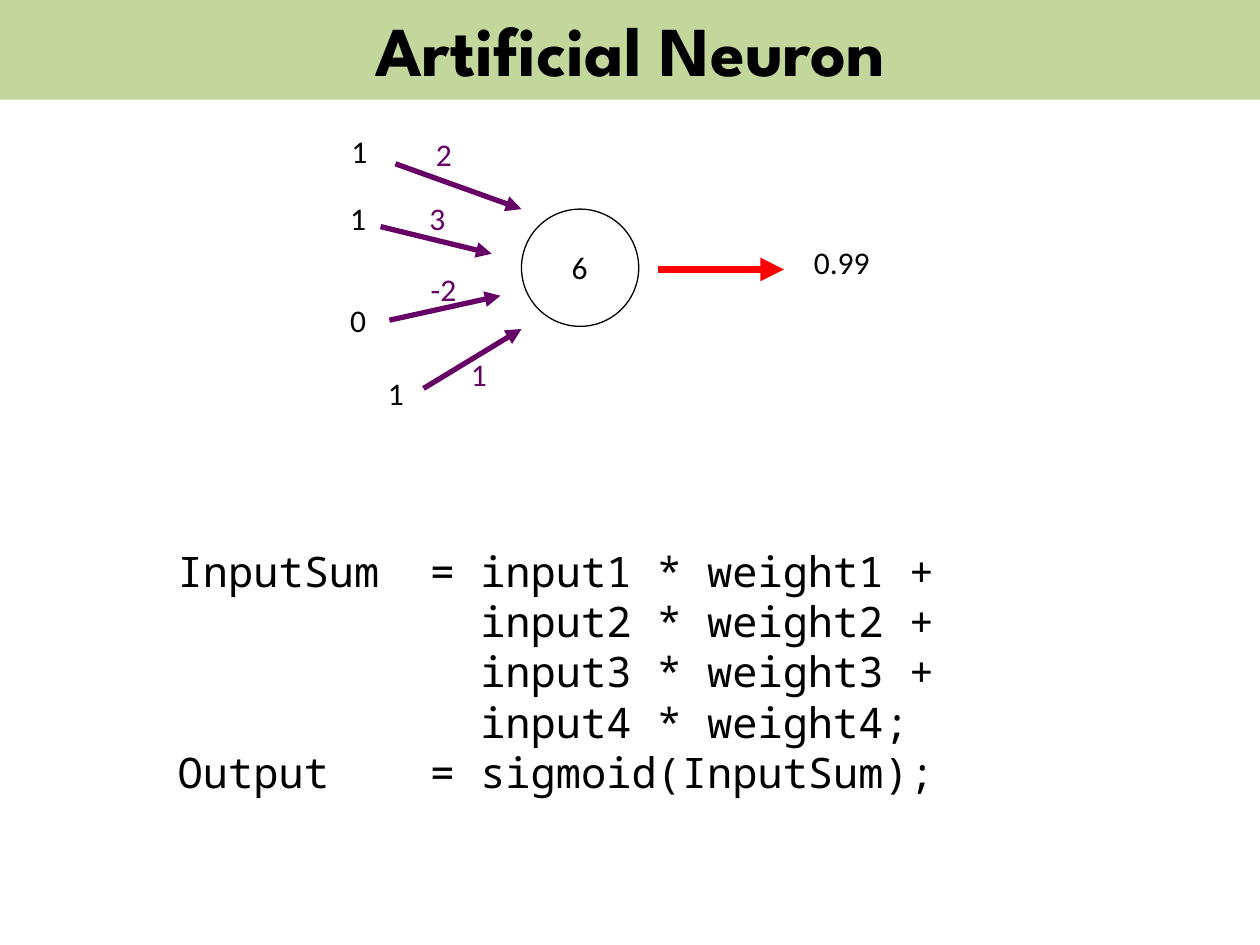
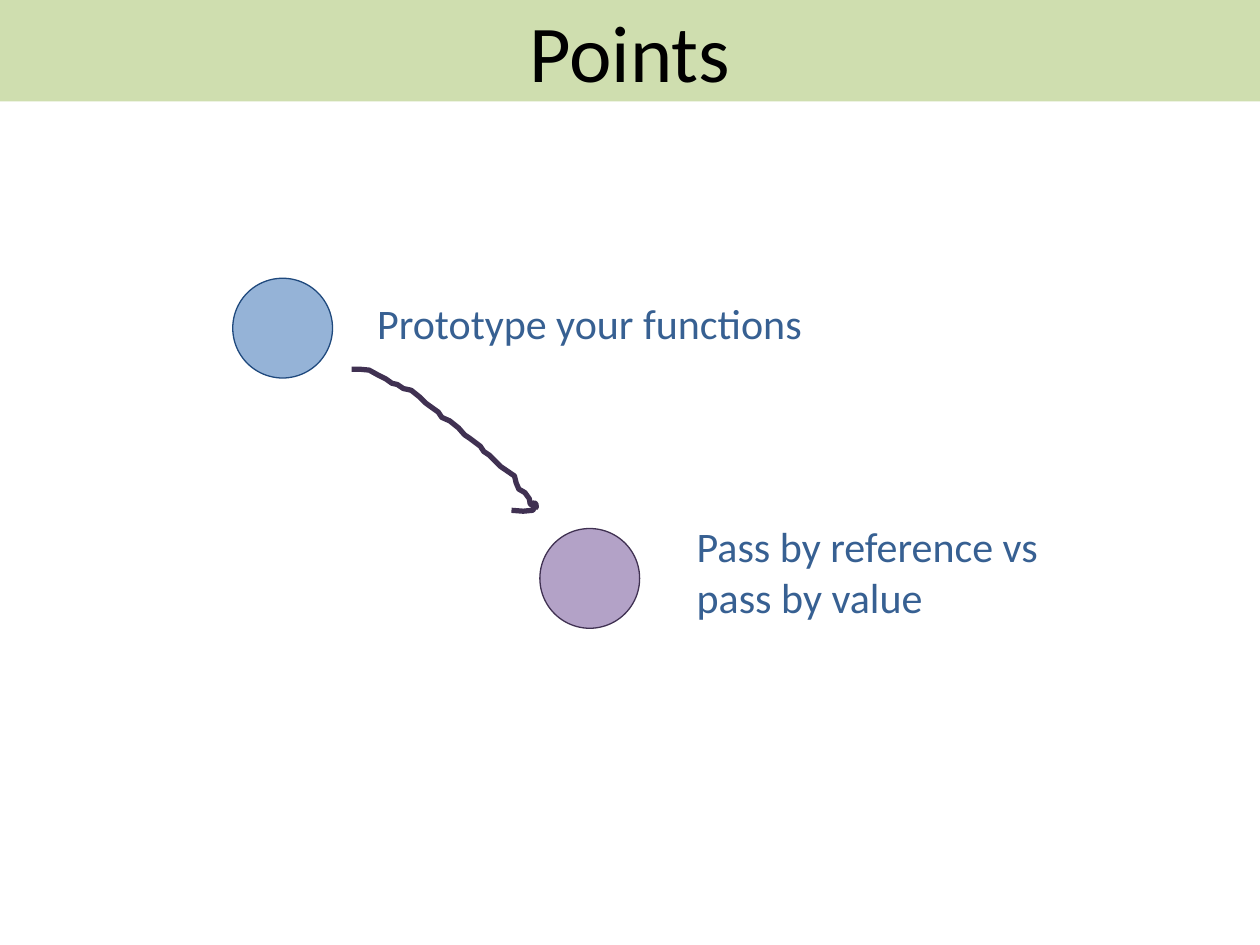
"""Build two slides: an artificial neuron and a list of points."""
from dataclasses import dataclass

from lxml import etree
from pptx import Presentation
from pptx.dml.color import RGBColor
from pptx.enum import shapes, text
from pptx.oxml.ns import qn
from pptx.util import Pt


@dataclass(frozen=True)
class Theme:
    black: str = "000000"
    white: str = "FFFFFF"
    band: str = "C3D69B"
    weight: str = "660066"
    output: str = "FF0000"
    blue: str = "95B3D7"
    navy: str = "1F497D"
    mauve: str = "B3A2C7"
    plum: str = "403152"
    point: str = "376092"
    body: str = "Calibri"
    head: str = "League Spartan"
    code: str = "Noto Sans Mono"
    label: int = 18
    large: int = 24


THEME = Theme()
WIDTH, HEIGHT = 720, 540


def write(frame, words, size=THEME.label, font=THEME.body, color=THEME.black,
          bold=False, align=text.PP_ALIGN.LEFT):
    for i, line in enumerate(words.split("\n")):
        para = frame.paragraphs[0] if i == 0 else frame.add_paragraph()
        para.alignment = align
        run = para.add_run()
        run.text = line
        run.font.size, run.font.name, run.font.bold = Pt(size), font, bold
        run.font.color.rgb = RGBColor.from_string(color)


class Deck:
    def __init__(self):
        self.prs = Presentation()
        self.prs.slide_width, self.prs.slide_height = Pt(WIDTH), Pt(HEIGHT)

    def page(self):
        self.slide = self.prs.slides.add_slide(self.prs.slide_layouts[6])

    def shape(self, kind, x, y, w, h, fill, line=None):
        item = self.slide.shapes.add_shape(kind, Pt(x), Pt(y), Pt(w), Pt(h))
        item.shadow.inherit = False
        item.fill.solid()
        item.fill.fore_color.rgb = RGBColor.from_string(fill)
        if line:
            self.stroke(item, line, 0.75)
        else:
            item.line.fill.background()
        return item

    def stroke(self, item, color, width):
        item.line.color.rgb = RGBColor.from_string(color)
        item.line.width = Pt(width)

    def band(self, title, y, h, alpha=100, **style):
        item = self.shape(shapes.MSO_SHAPE.RECTANGLE, 0, y, WIDTH, h, THEME.band)
        if alpha < 100:
            tint = item.element.xpath(".//a:solidFill/a:srgbClr")[0]
            etree.SubElement(tint, qn("a:alpha"), val=str(alpha * 1000))
        item.text_frame.vertical_anchor = text.MSO_ANCHOR.MIDDLE
        write(item.text_frame, title, align=text.PP_ALIGN.CENTER, **style)

    def disc(self, x, y, size, fill, line):
        self.shape(shapes.MSO_SHAPE.OVAL, x, y, size, size, fill, line)

    def label(self, words, x, y, w=24, h=29, wrap=False, **style):
        box = self.slide.shapes.add_textbox(Pt(x), Pt(y), Pt(w), Pt(h))
        box.text_frame.word_wrap = wrap
        box.text_frame.auto_size = text.MSO_AUTO_SIZE.SHAPE_TO_FIT_TEXT
        write(box.text_frame, words, **style)

    def arrow(self, start, end, color, width):
        item = self.slide.shapes.add_connector(
            shapes.MSO_CONNECTOR.STRAIGHT, *map(Pt, start + end))
        self.stroke(item, color, width)
        etree.SubElement(item.line._get_or_add_ln(), qn("a:tailEnd"), type="triangle")
        etree.SubElement(item.element.spPr, qn("a:effectLst"))

    def sketch(self, points, color, width):
        spots = [(Pt(x), Pt(y)) for x, y in points]
        pen = self.slide.shapes.build_freeform(*spots[0])
        pen.add_line_segments(spots[1:], close=False)
        item = pen.convert_to_shape()
        item.shadow.inherit = False
        item.fill.background()
        self.stroke(item, color, width)


INPUTS = [
    ("1", (193.7, 72), "2", (242, 73.5, 24), (226, 93.6), (298, 119.5)),
    ("1", (193, 110), "3", (238.3, 110, 24), (217.5, 129.5), (281, 145)),
    ("0", (193, 168.5), "-2", (239, 151, 29.5), (222.5, 183), (286, 169)),
    ("1", (214.5, 210), "1", (262, 199.5, 24), (242, 222), (298, 188)),
]

CODE = """InputSum  = input1 * weight1 +
            input2 * weight2 +
            input3 * weight3 +
            input4 * weight4;
Output    = sigmoid(InputSum);"""

SCRAWL = [
    (201, 211), (206, 211), (211, 211.5), (215.5, 214), (220.5, 216.5),
    (224, 219), (227, 219.7), (230.5, 222), (235, 223), (240, 227),
    (243.5, 230.5), (250.5, 235.5), (252.5, 238.5), (257, 240.5),
    (262, 244.5), (265.5, 248.5), (268.5, 250.5), (274.5, 255),
    (276.5, 258), (279.5, 260), (286, 266.5), (294, 272), (295, 276),
    (296.5, 279.5), (300, 281.5), (302.5, 285), (303, 288), (306.5, 290),
    (306.3, 288), (305.3, 287.3), (305.4, 290), (304.5, 291.6),
    (299, 292.1), (292.3, 291.6),
]


def neuron(deck):
    deck.page()
    deck.band("Artificial Neuron", -2, 59, size=40, font=THEME.head, bold=True)
    deck.disc(298, 119.5, 67, THEME.white, THEME.black)
    for value, spot, weight, place, start, end in INPUTS:
        deck.arrow(start, end, THEME.weight, 3)
        deck.label(value, *spot)
        deck.label(weight, *place, color=THEME.weight)
    deck.label("6", 319.5, 138)
    deck.arrow((376, 154), (448, 154), THEME.output, 4.5)
    deck.label("0.99", 458, 135.5, 47)
    deck.label(CODE, 94.5, 308, 451, 152.5, size=THEME.large, font=THEME.code)


def points(deck):
    deck.page()
    deck.band("Points", 0, 58, alpha=80, size=46)
    style = {"size": THEME.large, "color": THEME.point}
    deck.disc(133, 159, 57, THEME.blue, THEME.navy)
    deck.label("Prototype your functions", 208.5, 166.5, 261, 36, **style)
    deck.disc(308.5, 302, 57, THEME.mauve, THEME.plum)
    deck.label("Pass by reference vs\npass by value", 391, 294, 306, 65.5,
               wrap=True, **style)
    deck.sketch(SCRAWL, THEME.plum, 3)


def main():
    deck = Deck()
    neuron(deck)
    points(deck)
    deck.prs.save("out.pptx")


if __name__ == "__main__":
    main()
